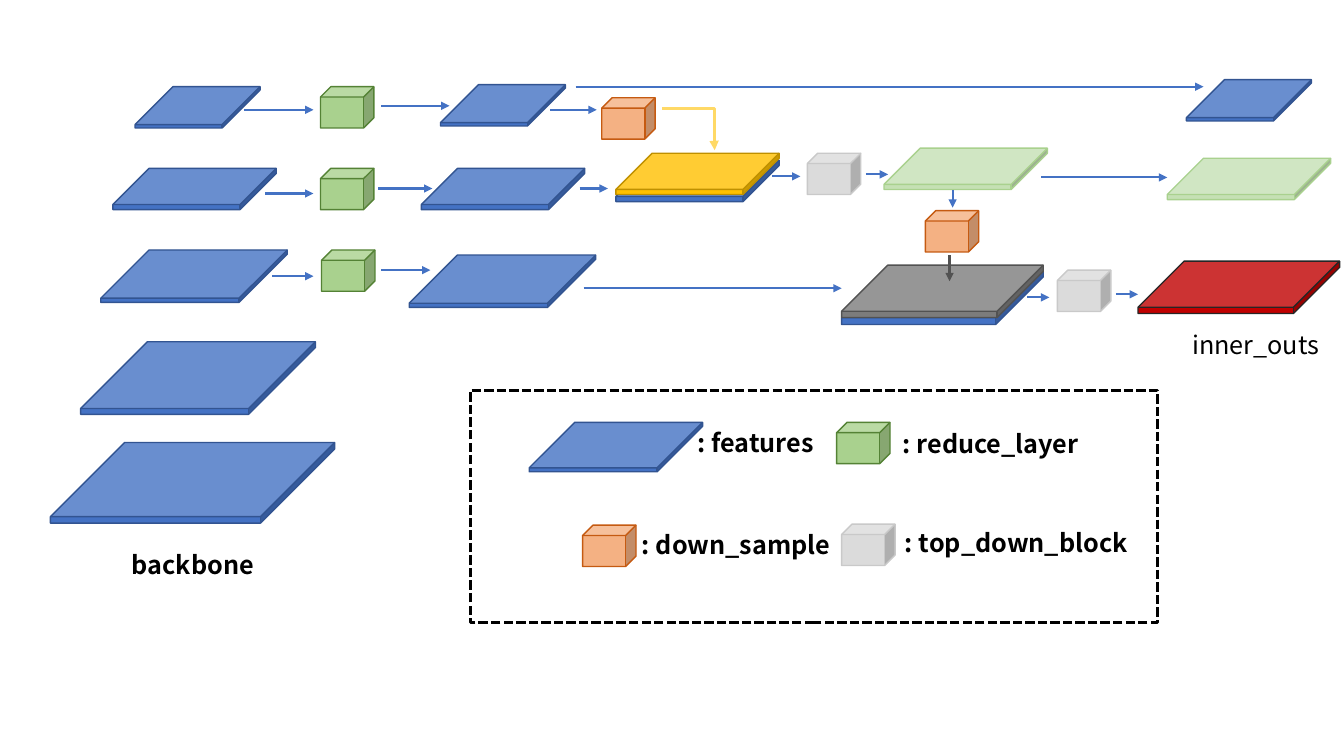
from pptx import Presentation
from pptx.dml.color import RGBColor
from pptx.enum.dml import MSO_LINE
from pptx.enum.shapes import MSO_CONNECTOR, MSO_SHAPE
from pptx.oxml.ns import qn
from pptx.util import Inches, Pt
from lxml.etree import SubElement

BLACK = RGBColor(0x00, 0x00, 0x00)
BLUE = RGBColor(0x44, 0x72, 0xC4)
NAVY = RGBColor(0x32, 0x54, 0x91)
GREEN = RGBColor(0xA9, 0xD1, 0x8E)
DARK_GREEN = RGBColor(0x54, 0x82, 0x35)
PALE_GREEN = RGBColor(0xC5, 0xE0, 0xB4)
ORANGE = RGBColor(0xF4, 0xB1, 0x83)
RUST = RGBColor(0xC5, 0x5A, 0x11)
SILVER = RGBColor(0xDB, 0xDB, 0xDB)
MID_SILVER = RGBColor(0xC9, 0xC9, 0xC9)
GOLD = RGBColor(0xFF, 0xC0, 0x00)
DARK_GOLD = RGBColor(0xBF, 0x90, 0x00)
LIGHT_GOLD = RGBColor(0xFF, 0xD9, 0x66)
GRAY = RGBColor(0x7C, 0x7C, 0x7C)
DARK_GRAY = RGBColor(0x52, 0x52, 0x52)
RED = RGBColor(0xC0, 0x00, 0x00)
CHARCOAL = RGBColor(0x26, 0x26, 0x26)

FEATURE = (BLUE, NAVY)
FUSED = (GOLD, DARK_GOLD)
MERGED = (GRAY, DARK_GRAY)
REFINED = (PALE_GREEN, GREEN)
INNER_OUT = (RED, CHARCOAL)
REDUCE = (GREEN, DARK_GREEN)
DOWN = (ORANGE, RUST)
TOP_DOWN = (SILVER, MID_SILVER)

SMALL = (12.4, 4.1, 0.92)
MEDIUM = (16.2, 4.1, 0.877)
LARGE = (18.5, 5.2, 0.92)
WIDE = (20, 5.2, 0.88)
WIDE_BASE = (20, 5.4, 0.875)
BLOCK = (5.3, 4.1, 0.25)

COLUMNS, ROWS = 133.33, 75


class Diagram:
    """Draws diagram parts on a grid of tenth-inch cells."""

    font = "Noto Sans CJK SC"
    size = Pt(18)
    cell = Inches(0.1)

    def __init__(self, prs):
        prs.slide_width, prs.slide_height = self.cells(COLUMNS, ROWS)
        self.s = prs.slides.add_slide(prs.slide_layouts[6])

    def cells(self, *lengths):
        return [round(length * self.cell) for length in lengths]

    def slab(self, col, row, size, colors):
        width, height, depth = size
        sp = self.s.shapes.add_shape(MSO_SHAPE.CUBE, *self.cells(col, row, width, height))
        sp.shadow.inherit = False
        sp.adjustments[0] = depth
        fill, line = colors
        sp.fill.solid()
        sp.fill.fore_color.rgb = fill
        sp.line.color.rgb = line
        sp.line.width = Pt(1)

    def arrow(self, start, end, color=BLUE, width=1.5, bend=None):
        kind = MSO_CONNECTOR.STRAIGHT if bend is None else MSO_CONNECTOR.ELBOW
        cxn = self.s.shapes.add_connector(kind, *self.cells(*start, *end))
        cxn.line.color.rgb = color
        cxn.line.width = Pt(width)
        props = cxn._element.spPr
        SubElement(props.find(qn("a:ln")), qn("a:tailEnd"), type="triangle")
        SubElement(props, qn("a:effectLst"))
        if bend is not None:
            guides = props.find(qn("a:prstGeom")).get_or_add_avLst()
            SubElement(guides, qn("a:gd"), name="adj1", fmla=f"val {round(bend * 100000)}")

    def label(self, col, row, text, bold=True, width=24.3):
        box = self.s.shapes.add_textbox(*self.cells(col, row, width, 4))
        tf = box.text_frame
        tf.word_wrap = True
        p = tf.paragraphs[0]
        p.text = text
        p.font.name = self.font
        p.font.size = self.size
        p.font.bold = bold
        p.font.color.rgb = BLACK

    def frame(self, col, row, width, height):
        sp = self.s.shapes.add_shape(MSO_SHAPE.RECTANGLE, *self.cells(col, row, width, height))
        sp.shadow.inherit = False
        sp.fill.background()
        sp.line.color.rgb = BLACK
        sp.line.width = Pt(2.25)
        sp.line.dash_style = MSO_LINE.SQUARE_DOT


prs = Presentation()
d = Diagram(prs)

features = [
    (5, 43.9, (28.2, 8, 0.92)), (8, 33.9, (23.3, 7.2, 0.92)),
    (10, 24.8, LARGE), (11.2, 16.7, MEDIUM), (13.4, 8.6, SMALL),
    (40.6, 25.3, LARGE), (41.8, 16.7, MEDIUM), (43.7, 8.4, SMALL),
    (61.1, 15.9, MEDIUM), (83.5, 26.8, WIDE_BASE), (117.7, 7.9, SMALL),
    (52.5, 41.9, (17.2, 4.9, 0.92)),
]
for col, row, size in features:
    d.slab(col, row, size, FEATURE)

outputs = [
    (61.1, 15.2, MEDIUM, FUSED), (83.5, 26.3, WIDE, MERGED),
    (87.7, 14.7, MEDIUM, REFINED), (115.8, 15.7, MEDIUM, REFINED),
    (112.9, 25.9, WIDE, INNER_OUT),
]
for output in outputs:
    d.slab(*output)

blocks = {
    REDUCE: [(31.8, 8.6), (31.8, 16.7), (31.9, 24.8), (83, 41.9)],
    DOWN: [(59.7, 9.7), (91.8, 20.9), (57.8, 52.1)],
    TOP_DOWN: [(80.1, 15.2), (104.9, 26.8), (83.5, 52)],
}
for colors, places in blocks.items():
    for col, row in places:
        d.slab(col, row, BLOCK, colors)

flows = [
    (24.2, 31.1, 10.9), (26.3, 31.1, 19.2), (27, 31.1, 27.4),
    (37.8, 44.6, 10.5), (37.5, 42.9, 18.7), (37.8, 42.7, 26.8),
    (54.6, 59.2, 10.9), (57.5, 60.3, 18.7), (57.9, 83.5, 28.6),
    (76.6, 79.4, 17.5), (85.9, 88.1, 17.3), (57.1, 119.4, 8.6),
    (103.3, 115.8, 17.6), (101.9, 104.1, 29.5), (110.7, 112.9, 29.2),
]
for start, end, row in flows:
    d.arrow((start, row), (end, row))
d.arrow((94.5, 18.9), (94.5, 20.6))
d.arrow((94.2, 25.3), (94.2, 27.9), DARK_GRAY)
d.arrow((65.7, 10.8), (70.9, 14.9), LIGHT_GOLD, 2.25, bend=0.99)

d.frame(46.7, 38.7, 68.1, 23.1)
d.label(68.2, 41.9, ": features")
d.label(88.6, 42, ": reduce_layer")
d.label(62.7, 52, ": down_sample")
d.label(88.8, 51.8, ": top_down_block")
d.label(12.1, 54, "backbone")
d.label(117.3, 32.2, "inner_outs", bold=False, width=16)

prs.save("out.pptx")
